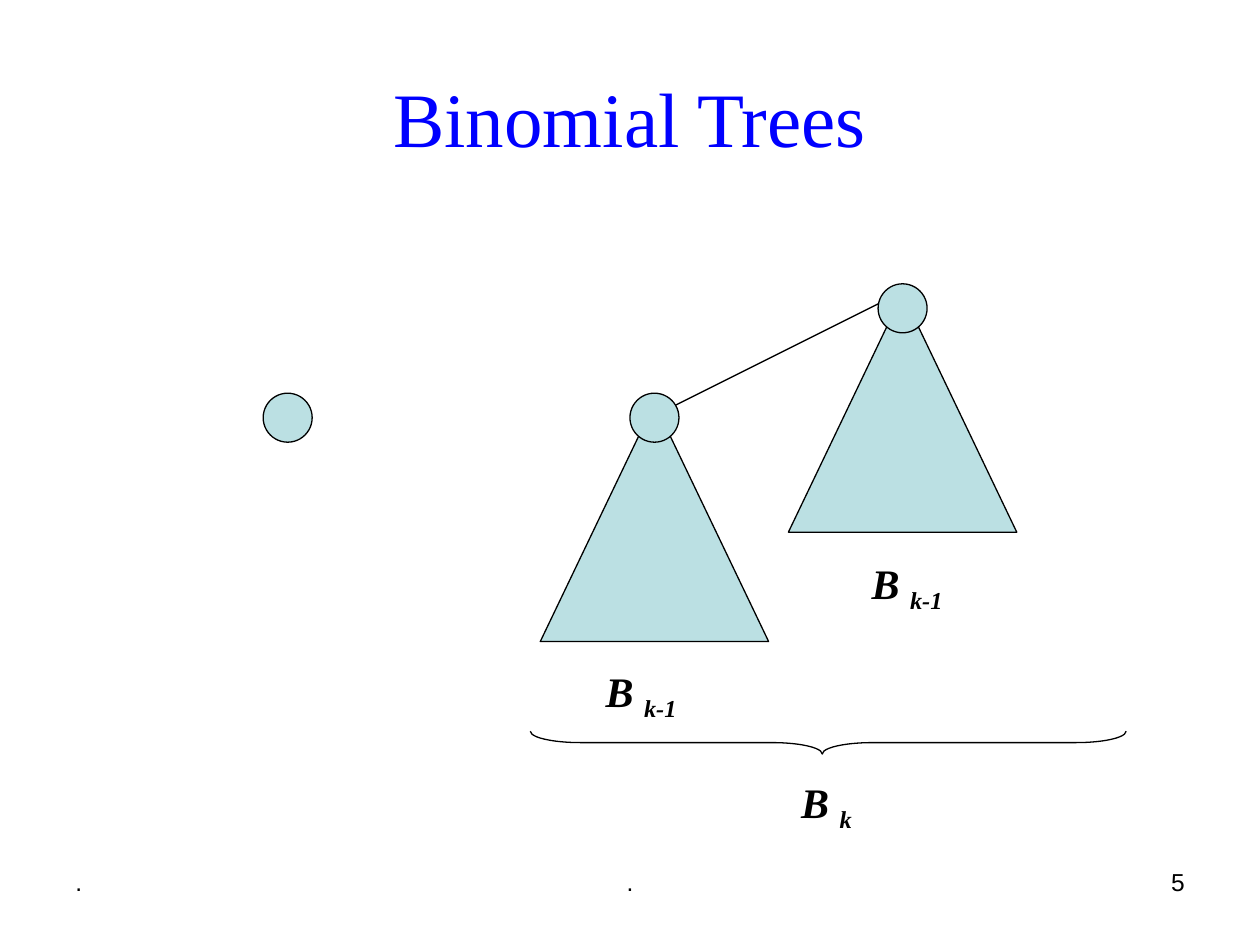
from lxml.etree import SubElement
from pptx import Presentation
from pptx.dml.color import RGBColor
from pptx.enum.shapes import MSO_CONNECTOR, MSO_SHAPE
from pptx.enum.text import MSO_ANCHOR, MSO_AUTO_SIZE, PP_ALIGN
from pptx.oxml.ns import qn
from pptx.util import Pt

BLACK = RGBColor(0x00, 0x00, 0x00)
BLUE = RGBColor(0x00, 0x00, 0xFF)
AQUA = RGBColor(0xBB, 0xE0, 0xE3)
SERIF, SANS = "Times New Roman", "Arial"
NODE = 28


def write(para, text, font=SERIF, size=24, color=BLACK, bold=False, sub=False):
    """Add a run to the paragraph; sub lowers it as a subscript."""
    run = para.add_run()
    run.text = text
    run.font.name, run.font.size = font, Pt(size)
    run.font.color.rgb = color
    if bold:
        run.font.bold = run.font.italic = True
    if sub:
        run._r.get_or_add_rPr().set("baseline", "-25000")


class Board:
    def __init__(self, slide, line=0.75):
        self.slide = slide
        self.line = line

    def stroke(self, item):
        item.line.color.rgb = BLACK
        item.line.width = Pt(self.line)

    def shape(self, kind, box, fill=AQUA):
        item = self.slide.shapes.add_shape(kind, *map(Pt, box))
        item.shadow.inherit = False
        if fill is None:
            item.fill.background()
        else:
            item.fill.solid()
            item.fill.fore_color.rgb = fill
        self.stroke(item)
        return item

    def node(self, mid, top):
        self.shape(MSO_SHAPE.OVAL, (mid - NODE / 2, top, NODE, NODE))

    def cone(self, mid, top):
        """Draw the triangle under a node whose top is given."""
        self.shape(MSO_SHAPE.ISOSCELES_TRIANGLE,
                   (mid - 65.25, top + 5.7, 130.5, 136.2))

    def edge(self, start, end):
        item = self.slide.shapes.add_connector(
            MSO_CONNECTOR.STRAIGHT, *map(Pt, start + end))
        self.stroke(item)
        SubElement(item._element.spPr, qn("a:effectLst"))

    def brace(self, box):
        """Draw a brace that points down; box is its frame before turning."""
        item = self.shape(MSO_SHAPE.LEFT_BRACE, box, fill=None)
        item.rotation = 270
        item.adjustments[0] = 2.19
        item.adjustments[1] = 0.49

    def text(self, box, text, align=PP_ALIGN.LEFT, anchor=MSO_ANCHOR.TOP,
             wrap=True, **style):
        item = self.slide.shapes.add_textbox(*map(Pt, box))
        frame = item.text_frame
        frame.word_wrap = wrap
        frame.vertical_anchor = anchor
        para = frame.paragraphs[0]
        para.alignment = align
        write(para, text, **style)
        return frame

    def label(self, box, index, wrap=False):
        frame = self.text(box, "B ", wrap=wrap, bold=True)
        frame.auto_size = MSO_AUTO_SIZE.SHAPE_TO_FIT_TEXT
        write(frame.paragraphs[0], index, bold=True, sub=True)


def main():
    deck = Presentation()
    deck.slide_width, deck.slide_height = Pt(720), Pt(540)
    board = Board(deck.slides.add_slide(deck.slide_layouts[6]))

    board.text((36, 21.6, 648, 90), "Binomial Trees", PP_ALIGN.CENTER,
               MSO_ANCHOR.MIDDLE, size=44, color=BLUE)
    for left, width, text, align in (
            (36, 168, ".", PP_ALIGN.LEFT),
            (246, 228, ".", PP_ALIGN.CENTER),
            (516, 168, "5", PP_ALIGN.RIGHT)):
        board.text((left, 491.8, width, 37.5), text, align,
                   font=SANS, size=14)

    trees = ((374, 224.7), (515.8, 162.2))
    for tree in trees:
        board.cone(*tree)
    board.edge((382.5, 233.3), (507.5, 170.8))
    for spot in ((164.4, 224.7),) + trees:
        board.node(*spot)

    board.label((339, 376.5, 54.7, 40.3), "k-1")
    board.label((491, 315, 54.7, 40.3), "k-1")
    board.label((450.7, 440, 53.3, 40.3), "k", wrap=True)
    board.brace((466.8, 254.1, 13, 340.5))

    deck.save("out.pptx")


if __name__ == "__main__":
    main()
